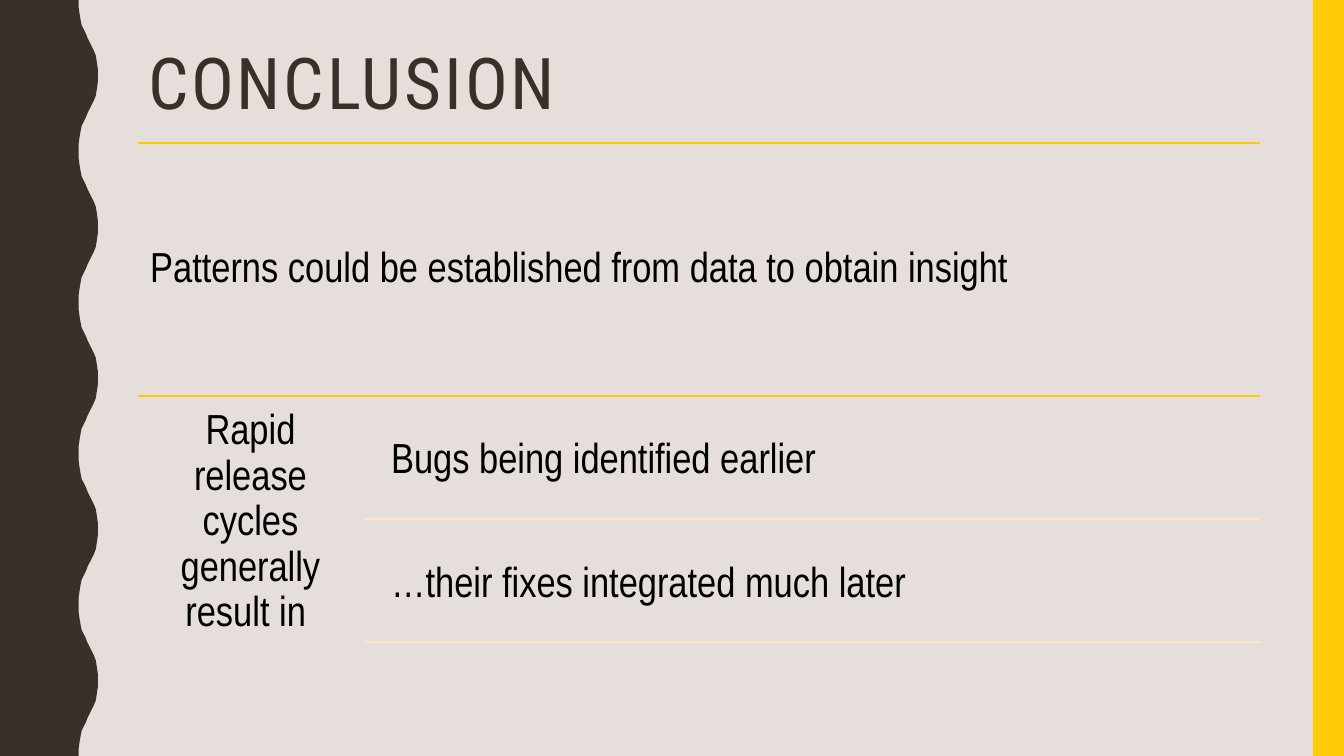
import pptx
import pptx.util
import pptx.dml.color
import pptx.enum.shapes
import pptx.enum.text
import pptx.oxml

Inches = pptx.util.Inches
Pt = pptx.util.Pt
ALIGN = pptx.enum.text.PP_ALIGN


def rgb(value):
    return pptx.dml.color.RGBColor.from_string(value)


def add_text(text, left, top, width, height, size, font, color, inset, align=ALIGN.LEFT):
    tf = s.shapes.add_textbox(Inches(left), Inches(top), Inches(width), Inches(height)).text_frame
    tf.word_wrap = True
    tf.vertical_anchor = pptx.enum.text.MSO_ANCHOR.MIDDLE
    tf.margin_left = tf.margin_right = Inches(inset[0])
    tf.margin_top = tf.margin_bottom = Inches(inset[1])
    p = tf.paragraphs[0]
    r = p.add_run()
    r.text = text
    p.alignment = align
    p.line_spacing = 0.9
    p.font.size = Pt(size)
    p.font.name = font
    p.font.color.rgb = rgb(color)
    return r


prs = pptx.Presentation()
prs.slide_width = Inches(13.33)
prs.slide_height = Inches(7.5)
s = prs.slides.add_slide(prs.slide_layouts[6])
s.background.fill.solid()
s.background.fill.fore_color.rgb = rgb("E5DEDB")

period = 1.5
half_wave = [
    (0.78, 0), (0.78, 0.07), (0.79, 0.14), (0.8, 0.2), (0.81, 0.25),
    (0.83, 0.29), (0.85, 0.33), (0.87, 0.38), (0.89, 0.42), (0.91, 0.46),
    (0.93, 0.5), (0.95, 0.55), (0.96, 0.61), (0.97, 0.68), (0.97, 0.75),
]
wave = half_wave + [(x, period - y) for x, y in half_wave[-2::-1]]
edge = [(Inches(x), Inches(y + i * period)) for i in range(5) for x, y in wave]
fb = s.shapes.build_freeform(0, 0)
fb.add_line_segments(edge + [(0, Inches(7.5))], close=True)
wavy_band = fb.convert_to_shape()
side_bar = s.shapes.add_shape(
    pptx.enum.shapes.MSO_SHAPE.RECTANGLE, Inches(13.02), 0, Inches(0.31), Inches(7.5))
for sp, color in [(wavy_band, "39302A"), (side_bar, "FFCA08")]:
    sp.shadow.inherit = False
    sp.fill.solid()
    sp.fill.fore_color.rgb = rgb(color)
    sp.line.fill.background()

title = add_text("CONCLUSION", 1.37, 0.42, 11.13, 0.88, 51, "Roboto Condensed", "39302A", (0.1, 0.05))
title.font._element.set("spc", "200")

for left, y, color in [
    (1.37, 1.42, "FFCA08"),
    (1.37, 3.93, "FFCA08"),
    (3.6, 5.15, "FFE6BD"),
    (3.6, 6.37, "FFE6BD"),
]:
    rule = s.shapes.add_connector(
        pptx.enum.shapes.MSO_CONNECTOR.STRAIGHT, Inches(left), Inches(y), Inches(12.5), Inches(y))
    rule.line.color.rgb = rgb(color)
    rule.line.width = Pt(1)
    rule._element.spPr.append(pptx.oxml.parse_xml(
        '<a:effectLst xmlns:a="http://schemas.openxmlformats.org/drawingml/2006/main"/>'))

for text, left, top, width, height, align in [
    ("Patterns could be established from data to obtain insight", 1.37, 1.42, 11.13, 2.5, ALIGN.LEFT),
    ("Rapid release cycles generally result in ", 1.37, 3.93, 2.23, 2.5, ALIGN.CENTER),
    ("Bugs being identified earlier", 3.76, 3.98, 8.74, 1.16, ALIGN.LEFT),
    ("…their fixes integrated much later", 3.76, 5.21, 8.74, 1.16, ALIGN.LEFT),
]:
    add_text(text, left, top, width, height, 30, "Arial Narrow", "000000", (0.12, 0.12), align)

prs.save("out.pptx")
